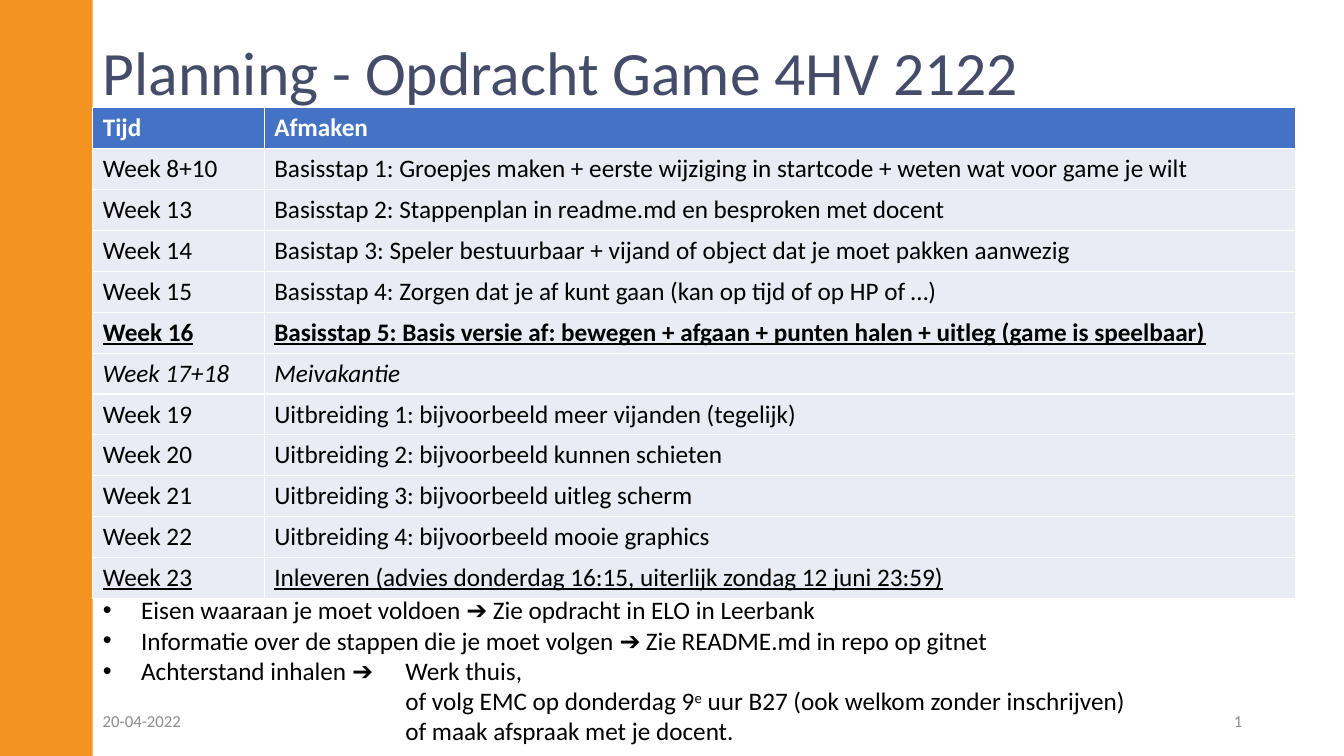
from lxml.etree import SubElement
from pptx import Presentation
from pptx.dml.color import RGBColor
from pptx.enum.shapes import MSO_SHAPE as Shape
from pptx.enum.text import MSO_ANCHOR as Anchor, MSO_AUTO_SIZE as AutoSize, PP_ALIGN as Align
from pptx.oxml.ns import qn
from pptx.util import Pt

PX = 9144
WIDTH, HEIGHT, BAR_WIDTH = 1333, 750, 92
TAB_STOP, BULLET_INDENT = 300, 38
PLANNING = [
    ("Tijd", "Afmaken", {"bold"}),
    ("Week 8+10", "Basisstap 1: Groepjes maken + eerste wijziging in startcode + weten wat voor game je wilt", set()),
    ("Week 13", "Basisstap 2: Stappenplan in readme.md en besproken met docent", set()),
    ("Week 14", "Basistap 3: Speler bestuurbaar + vijand of object dat je moet pakken aanwezig", set()),
    ("Week 15", "Basisstap 4: Zorgen dat je af kunt gaan (kan op tijd of op HP of …)", set()),
    ("Week 16", "Basisstap 5: Basis versie af: bewegen + afgaan + punten halen + uitleg (game is speelbaar)",
     {"bold", "underline"}),
    ("Week 17+18", "Meivakantie", {"italic"}),
    ("Week 19", "Uitbreiding 1: bijvoorbeeld meer vijanden (tegelijk)", set()),
    ("Week 20", "Uitbreiding 2: bijvoorbeeld kunnen schieten", set()),
    ("Week 21", "Uitbreiding 3: bijvoorbeeld uitleg scherm", set()),
    ("Week 22", "Uitbreiding 4: bijvoorbeeld mooie graphics", set()),
    ("Week 23", "Inleveren (advies donderdag 16:15, uiterlijk zondag 12 juni 23:59)", {"underline"}),
]
REMARKS = [
    [["Eisen waaraan je moet voldoen ➔ Zie opdracht in ELO in Leerbank"]],
    [["Informatie over de stappen die je moet volgen ➔ Zie README.md in repo op gitnet"]],
    [
        ["Achterstand inhalen ➔\tWerk thuis,"],
        ["\tof volg EMC op donderdag 9", "e", " uur B27 (ook welkom zonder inschrijven)"],
        ["\tof maak afspraak met je docent."],
    ],
]


def scale(*lengths):
    """Turn px lengths into EMU."""
    return [length * PX for length in lengths]


def color(code):
    """Turn a hex string into a colour."""
    return RGBColor.from_string(code)


def add_run(paragraph, text, size, code, styles=()):
    """Add one formatted run to a paragraph."""
    run = paragraph.add_run()
    run.text = text
    font = run.font
    font.name, font.size = "Calibri", Pt(size)
    font.color.rgb = color(code)
    font.bold = "bold" in styles
    font.italic = "italic" in styles
    font.underline = "underline" in styles
    return run


def place(shape, box):
    """Move a shape to a box."""
    shape.left, shape.top, shape.width, shape.height = scale(*box)


def add_bar(slide, box):
    """Draw the orange side bar."""
    bar = slide.shapes.add_shape(Shape.RECTANGLE, *scale(*box))
    bar.shadow.inherit = False
    bar.fill.solid()
    bar.fill.fore_color.rgb = color("F39322")
    bar.line.fill.background()


def add_title(slide, box):
    """Fill the title placeholder."""
    title = slide.shapes.title
    place(title, box)
    frame = title.text_frame
    frame.auto_size, frame.vertical_anchor = AutoSize.NONE, Anchor.MIDDLE
    paragraph = frame.paragraphs[0]
    paragraph.alignment, paragraph.line_spacing = Align.LEFT, 0.9
    add_run(paragraph, "Planning - Opdracht Game 4HV 2122", 44, "454C69")


def add_planning(slide, box, first_width=170):
    """Build the planning table."""
    table = slide.shapes.add_table(len(PLANNING), 2, *scale(*box)).table
    table.horz_banding = False
    table.columns[0].width, table.columns[1].width = scale(first_width, box[2] - first_width)
    for index, (week, task, styles) in enumerate(PLANNING):
        fill, ink = ("E9EBF5", "000000") if index else ("4472C4", "FFFFFF")
        for cell, text in zip(table.rows[index].cells, (week, task)):
            cell.fill.solid()
            cell.fill.fore_color.rgb = color(fill)
            add_run(cell.text_frame.paragraphs[0], text, 18, ink, styles)


def format_bullet(paragraph):
    """Give a paragraph its bullet, hanging indent and tab stop."""
    properties = paragraph._p.get_or_add_pPr()
    indent, stop = scale(BULLET_INDENT, TAB_STOP)
    properties.set("marL", str(indent))
    properties.set("indent", str(-indent))
    SubElement(properties, qn("a:buFont"), typeface="Arial")
    SubElement(properties, qn("a:buChar"), char="•")
    tabs = SubElement(properties, qn("a:tabLst"))
    SubElement(tabs, qn("a:tab"), pos=str(stop), algn="l")
    paragraph.space_before = Pt(0)
    paragraph.alignment = Align.LEFT


def add_remarks(slide, box):
    """Fill the body placeholder with the bulleted remarks."""
    body = slide.placeholders[1]
    place(body, box)
    frame = body.text_frame
    frame.auto_size, frame.vertical_anchor = AutoSize.NONE, Anchor.TOP
    for index, lines in enumerate(REMARKS):
        paragraph = frame.add_paragraph() if index else frame.paragraphs[0]
        format_bullet(paragraph)
        for number, parts in enumerate(lines):
            if number:
                paragraph.add_line_break()
            for text in parts:
                run = add_run(paragraph, text, 18, "000000")
                if text == "e":
                    run.font._element.set("baseline", "30000")


def add_footer(slide, box, text, alignment):
    """Add one small grey footer text."""
    frame = slide.shapes.add_textbox(*scale(*box)).text_frame
    frame.word_wrap, frame.vertical_anchor = True, Anchor.MIDDLE
    frame.paragraphs[0].alignment = alignment
    add_run(frame.paragraphs[0], text, 12, "8C8C8C")


def main():
    """Build and save the planning slide."""
    presentation = Presentation()
    presentation.slide_width, presentation.slide_height = scale(WIDTH, HEIGHT)
    slide = presentation.slides.add_slide(presentation.slide_layouts[1])
    add_bar(slide, (0, 0, BAR_WIDTH, HEIGHT))
    add_title(slide, (BAR_WIDTH, 32, 1150, 86))
    add_planning(slide, (BAR_WIDTH, 107, 1193, 480))
    add_footer(slide, (BAR_WIDTH, 695, 300, 40), "20-04-2022", Align.LEFT)
    add_footer(slide, (942, 695, 300, 40), "1", Align.RIGHT)
    add_remarks(slide, (BAR_WIDTH, 585, 1052, 162))
    presentation.save("out.pptx")


if __name__ == "__main__":
    main()
